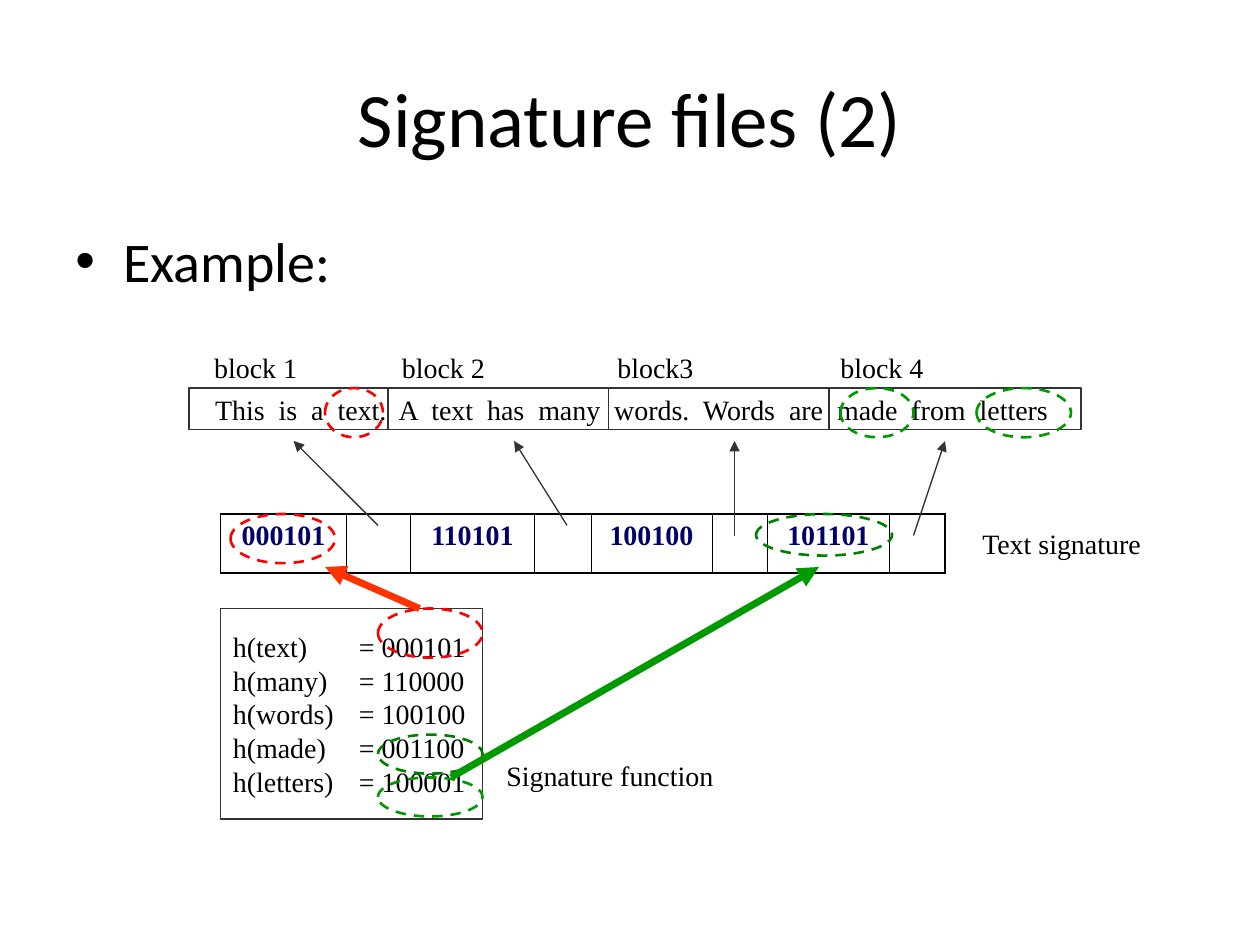
from typing import NamedTuple

from lxml import etree
from pptx import Presentation
from pptx.dml.color import RGBColor
from pptx.enum.dml import MSO_LINE
from pptx.enum.shapes import MSO_CONNECTOR, MSO_SHAPE
from pptx.enum.text import MSO_ANCHOR, PP_ALIGN
from pptx.oxml.ns import qn
from pptx.util import Inches, Pt

LEFT, CENTER = PP_ALIGN.LEFT, PP_ALIGN.CENTER
TOP, MIDDLE = MSO_ANCHOR.TOP, MSO_ANCHOR.MIDDLE
DASH = MSO_LINE.DASH
RECTANGLE, OVAL = MSO_SHAPE.RECTANGLE, MSO_SHAPE.OVAL
STRAIGHT = MSO_CONNECTOR.STRAIGHT

SANS, SERIF = "Calibri", "Times New Roman"
BLACK, GRAY, NAVY = "000000", "333333", "000066"
RED, ORANGE, GREEN, DARK_GREEN = "FF0000", "FF3300", "009900", "008000"


class Area(NamedTuple):
    left: float
    top: float
    width: float
    height: float


class Ring(NamedTuple):
    area: Area
    color: str


class Arrow(NamedTuple):
    start: tuple[float, float]
    end: tuple[float, float]
    color: str = GRAY
    width: float = 0.75


BLOCK_LABELS = ["block 1", "block 2", "block3", "block 4"]
BLOCK_TABS = [1.49, 3.2, 4.97]
BLOCK_TOP, BLOCK_HEIGHT = 3.08, 0.33
DIVIDERS = [3.08, 4.83, 6.58]
SENTENCE = ("This  is  a  text.  A  text  has  many  words.  "
            "Words  are  made  from  letters")

SIGNATURES = ["000101", "", "110101", "", "100100", "", "101101", ""]
COLUMN_WIDTHS = [1, 0.51, 0.98, 0.45, 0.96, 0.44, 0.97, 0.44]

HASHES = {"text": "000101", "many": "110000", "words": "100100",
          "made": "001100", "letters": "100001"}

RINGS = [
    Ring(Area(3, 4.83, 0.83, 0.39), RED),
    Ring(Area(2.58, 3.08, 0.46, 0.39), RED),
    Ring(Area(1.83, 4.08, 0.83, 0.39), RED),
    Ring(Area(3, 6.17, 0.83, 0.31), GREEN),
    Ring(Area(3, 5.83, 0.83, 0.31), DARK_GREEN),
    Ring(Area(6.67, 3.08, 0.58, 0.39), GREEN),
    Ring(Area(7.75, 3.08, 0.75, 0.39), GREEN),
    Ring(Area(6, 4.08, 1.08, 0.33), DARK_GREEN),
]
BLOCK_ARROWS = [
    Arrow((3, 4.17), (2.33, 3.5)),
    Arrow((4.5, 4.17), (4.08, 3.5)),
    Arrow((5.83, 4.25), (5.83, 3.5)),
    Arrow((7.25, 4.25), (7.5, 3.5)),
]
HASH_ARROWS = [
    Arrow((3.58, 6.17), (6.5, 4.5), GREEN, 4),
    Arrow((3.33, 4.83), (2.58, 4.5), ORANGE, 4),
]


def rgb(color: str) -> RGBColor:
    return RGBColor.from_string(color)


def write(frame, text: str, *, size=16, font=SERIF, color=BLACK, bold=False,
          align=LEFT, anchor=MIDDLE, wrap=True, tabs=(), bullet="") -> None:
    """Fill a text frame, one paragraph for each line of the text."""
    frame.word_wrap = wrap
    frame.vertical_anchor = anchor
    for index, line in enumerate(text.split("\n")):
        para = frame.paragraphs[0] if index == 0 else frame.add_paragraph()
        para.alignment = align
        properties = para._p.get_or_add_pPr()
        if bullet:
            properties.set("marL", str(Inches(0.38)))
            properties.set("indent", str(Inches(-0.38)))
            etree.SubElement(properties, qn("a:buFont"), typeface="Arial")
            etree.SubElement(properties, qn("a:buChar"), char=bullet)
        if tabs:
            tab_list = etree.SubElement(properties, qn("a:tabLst"))
            for tab in tabs:
                etree.SubElement(tab_list, qn("a:tab"),
                                 pos=str(Inches(tab)), algn="l")
        span = para.add_run()
        span.text = line
        span.font.size, span.font.name = Pt(size), font
        span.font.bold = bold
        span.font.color.rgb = rgb(color)


def add_text(page, area: Area, text: str, **text_format):
    box = page.shapes.add_textbox(*map(Inches, area))
    write(box.text_frame, text, **text_format)
    return box


def add_outline(page, kind, area: Area, color=GRAY, width=0.75, dash=None):
    shape = page.shapes.add_shape(kind, *map(Inches, area))
    shape.shadow.inherit = False
    shape.fill.background()
    shape.line.color.rgb = rgb(color)
    shape.line.width = Pt(width)
    if dash is not None:
        shape.line.dash_style = dash
    return shape


def add_line(page, line: Arrow, head: bool = True) -> None:
    connector = page.shapes.add_connector(
        STRAIGHT, *map(Inches, (*line.start, *line.end)))
    connector.line.color.rgb = rgb(line.color)
    connector.line.width = Pt(line.width)
    if head:
        etree.SubElement(connector.line._get_or_add_ln(),
                         qn("a:tailEnd"), type="triangle")
    etree.SubElement(connector._element.spPr, qn("a:effectLst"))


def set_borders(cell, widths: dict[str, float]) -> None:
    properties = cell._tc.get_or_add_tcPr()
    for index, (side, width) in enumerate(widths.items()):
        border = etree.Element(qn(f"a:ln{side}"), w=str(Pt(width)))
        fill = etree.SubElement(border, qn("a:solidFill"))
        etree.SubElement(fill, qn("a:srgbClr"), val=BLACK)
        properties.insert(index, border)


def add_signature_table(page) -> None:
    area = Area(1.75, 4.08, sum(COLUMN_WIDTHS), 0.47)
    table = page.shapes.add_table(
        1, len(SIGNATURES), *map(Inches, area)).table
    table.first_row = table.horz_banding = False
    last = len(SIGNATURES) - 1
    for index, (text, width) in enumerate(zip(SIGNATURES, COLUMN_WIDTHS)):
        table.columns[index].width = Inches(width)
        cell = table.cell(0, index)
        cell.fill.background()
        set_borders(cell, {"L": 1.08 if index == 0 else 0.45,
                           "R": 1.08 if index == last else 0.45,
                           "T": 1.08, "B": 1.08})
        if text:
            write(cell.text_frame, text, color=NAVY, bold=True,
                  align=CENTER, anchor=TOP)


def main() -> None:
    deck = Presentation()
    deck.slide_width, deck.slide_height = Inches(10), Inches(7.5)
    page = deck.slides.add_slide(deck.slide_layouts[6])

    # Title and bullet
    add_text(page, Area(0.5, 0.3, 9, 1.25), "Signature files (2)",
             size=44, font=SANS, align=CENTER)
    add_text(page, Area(0.5, 1.75, 9, 4.95), "Example:",
             size=32, font=SANS, anchor=TOP, bullet="•")

    # Signature of each block
    add_signature_table(page)
    add_text(page, Area(7.69, 4.13, 1.47, 0.37), "Text signature",
             align=CENTER, anchor=TOP, wrap=False)

    # Text split into blocks
    strip = Area(1.5, BLOCK_TOP, 7.08, BLOCK_HEIGHT)
    sentence = add_outline(page, RECTANGLE, strip)
    sentence.text_frame.margin_right = Inches(0.15)
    write(sentence.text_frame, SENTENCE, align=CENTER)
    labels = add_text(page, strip._replace(top=BLOCK_TOP - BLOCK_HEIGHT),
                      "\t".join(BLOCK_LABELS), tabs=BLOCK_TABS)
    labels.text_frame.margin_left = Inches(0.2)
    for x in DIVIDERS:
        add_line(page, Arrow((x, BLOCK_TOP), (x, BLOCK_TOP + BLOCK_HEIGHT)),
                 head=False)
    for arrow in BLOCK_ARROWS:
        add_line(page, arrow)

    # Signature function
    function_box = add_outline(page, RECTANGLE, Area(1.75, 4.83, 2.08, 1.67))
    hash_lines = [f"h({word})\t= {bits}" for word, bits in HASHES.items()]
    write(function_box.text_frame, "\n".join(hash_lines), tabs=[1])
    add_text(page, Area(3.92, 5.97, 1.84, 0.37), "Signature function",
             align=CENTER, anchor=TOP, wrap=False)

    # Highlights
    for ring in RINGS:
        add_outline(page, OVAL, ring.area, ring.color, 1.5, DASH)
    for arrow in HASH_ARROWS:
        add_line(page, arrow)

    deck.save("out.pptx")


if __name__ == "__main__":
    main()
